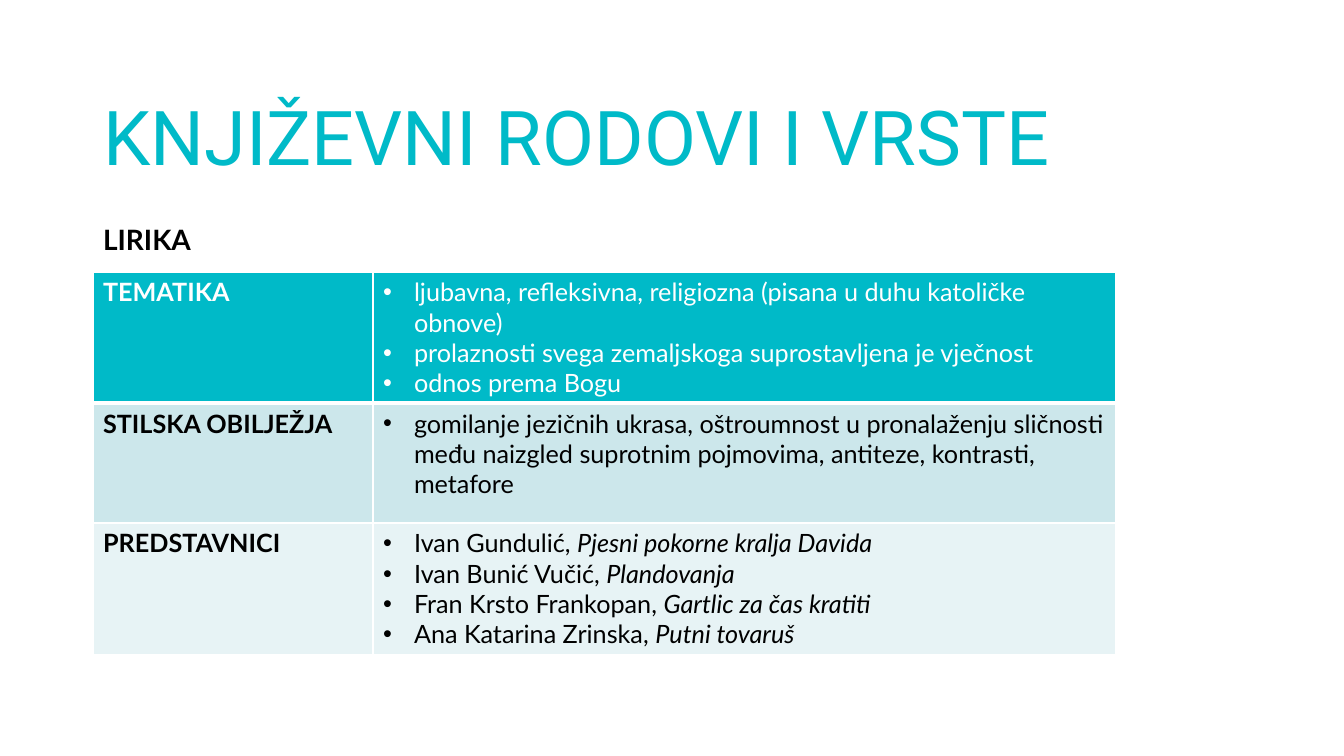
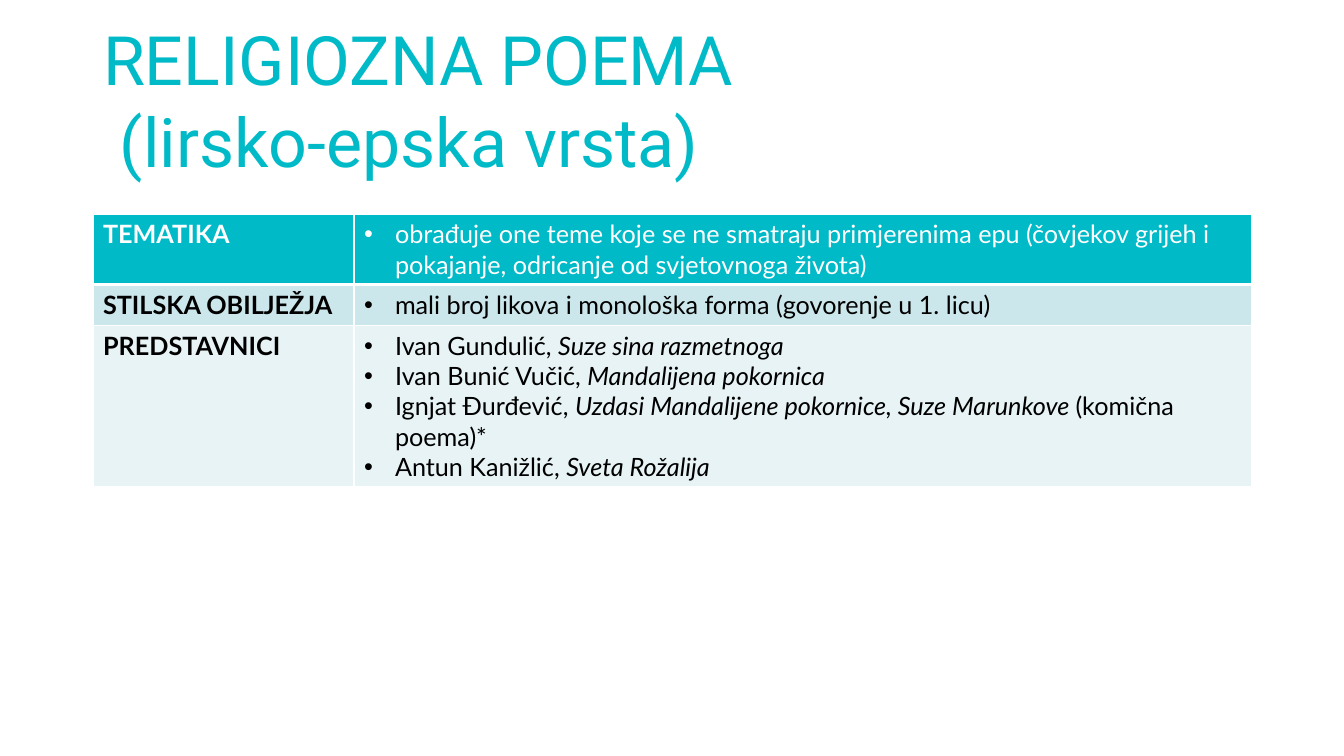
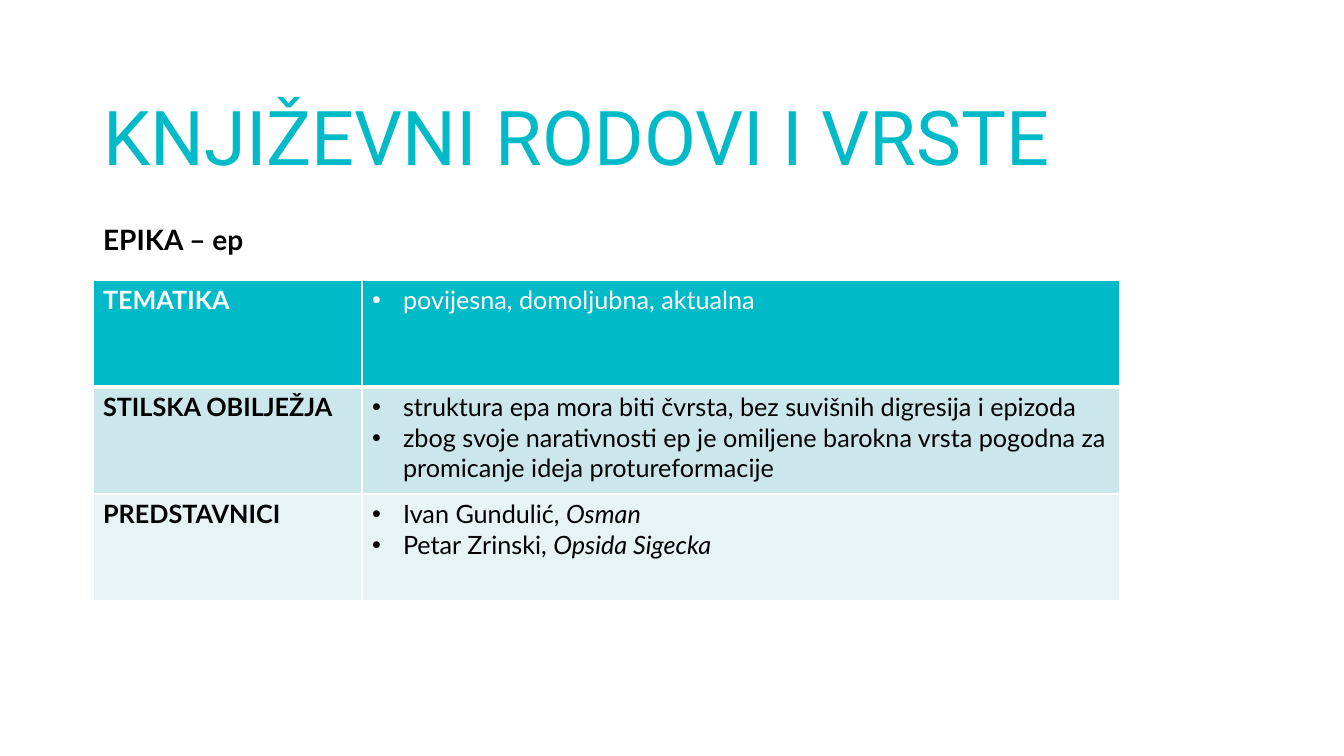
from pptx import Presentation
from pptx.dml.color import RGBColor
from pptx.enum.text import MSO_ANCHOR, MSO_AUTO_SIZE, PP_ALIGN
from pptx.oxml.ns import qn
from pptx.util import Pt
from lxml import etree

BOTTOM, TOP = MSO_ANCHOR.BOTTOM, MSO_ANCHOR.TOP
NO_FIT = MSO_AUTO_SIZE.NONE
LEFT = PP_ALIGN.LEFT

EMU_PER_PX = 12192000 / 1344
COLORS = {"accent": "00BAC8", "band": "CCE7EB", "pale": "E7F3F5",
          "white": "FFFFFF", "black": "000000"}
TITLE_FONT, TEXT_FONT = "Roboto", "Lato"
TITLE_AND_BODY, TITLE_ONLY = 1, 5
MARGIN, CONTENT_WIDTH = 93, 1159
BULLET_INDENT = 31
ROW_LABELS = ("TEMATIKA", "STILSKA OBILJEŽJA", "PREDSTAVNICI")
ROW_STYLES = (("accent", "white"), ("band", "black"), ("pale", "black"))
THIN, THICK = 1, 3


def px(length):
    return round(length * EMU_PER_PX)


def rgb(name):
    return RGBColor.from_string(COLORS[name])


class Deck:
    """Shared style and the slide being built."""

    def __init__(self):
        self.prs = Presentation()
        self.prs.slide_width, self.prs.slide_height = px(1344), px(756)
        self.slide = None

    def style(self, paragraph, font, size, color, bold=False):
        paragraph.alignment = LEFT
        paragraph.font.name = font
        paragraph.font.size = Pt(size)
        paragraph.font.bold = bold
        paragraph.font.color.rgb = rgb(color)

    def place(self, holder, top, height, anchor):
        holder.left, holder.top = px(MARGIN), px(top)
        holder.width, holder.height = px(CONTENT_WIDTH), px(height)
        frame = holder.text_frame
        frame.auto_size, frame.vertical_anchor = NO_FIT, anchor
        return frame

    def bullet(self, paragraph, char=None):
        props = paragraph._p.get_or_add_pPr()
        indent = px(BULLET_INDENT) if char else 0
        props.set("marL", str(indent))
        props.set("indent", str(-indent))
        if char:
            mark = etree.Element(qn("a:buChar"), char=char)
            face = etree.Element(qn("a:buFont"), typeface="Arial")
            marks = [face, mark]
        else:
            marks = [etree.Element(qn("a:buNone"))]
        # Bullet marks stand before the default run properties
        defaults = props.find(qn("a:defRPr"))
        for mark in marks:
            defaults.addprevious(mark)

    def new_slide(self, title, size, layout):
        self.slide = self.prs.slides.add_slide(self.prs.slide_layouts[layout])
        frame = self.place(self.slide.shapes.title, 40, 146, BOTTOM)
        frame.text = title
        self.style(frame.paragraphs[0], TITLE_FONT, size, "accent")

    def genre(self, text):
        frame = self.place(self.slide.placeholders[1], 214, 467, TOP)
        frame.text = text
        heading = frame.paragraphs[0]
        self.style(heading, TEXT_FONT, 20, "black", bold=True)
        heading.line_spacing, heading.space_before = 1.1, Pt(10)
        self.bullet(heading)

    def borders(self, cell, top, bottom):
        props = cell._tc.get_or_add_tcPr()
        widths = {"lnL": THIN, "lnR": THIN, "lnT": top, "lnB": bottom}
        for side, width in widths.items():
            line = etree.SubElement(props, qn(f"a:{side}"), w=str(Pt(width)))
            fill = etree.SubElement(line, qn("a:solidFill"))
            etree.SubElement(fill, qn("a:srgbClr"), val=COLORS["white"])

    def cell_text(self, cell, items, color, bulleted):
        """Each item is a tuple of runs, in turn upright and italic."""
        frame = cell.text_frame
        for number, runs in enumerate(items):
            paragraph = frame.add_paragraph() if number else frame.paragraphs[0]
            self.style(paragraph, TEXT_FONT, 18, color, bold=not bulleted)
            if bulleted:
                self.bullet(paragraph, "•")
            for position, text in enumerate(runs):
                run = paragraph.add_run()
                run.text = text
                if position % 2:
                    run.font.italic = True

    def features(self, top, columns, row_height, contents):
        table = self.slide.shapes.add_table(
            len(contents), len(columns), px(MARGIN), px(top),
            px(sum(columns)), px(row_height * len(contents))).table
        table.horz_banding = False
        for column, width in zip(table.columns, columns):
            column.width = px(width)
        for index, (label, items) in enumerate(zip(ROW_LABELS, contents)):
            fill, color = ROW_STYLES[index]
            for cell in table.rows[index].cells:
                self.borders(cell, THICK if index == 1 else THIN,
                             THICK if index == 0 else THIN)
                cell.fill.solid()
                cell.fill.fore_color.rgb = rgb(fill)
            self.cell_text(table.cell(index, 0), [(label,)], color, False)
            self.cell_text(table.cell(index, 1), items, color, True)


def main():
    deck = Deck()

    # Lyric poetry
    deck.new_slide("KNJIŽEVNI RODOVI I VRSTE", 54, TITLE_AND_BODY)
    deck.genre("LIRIKA")
    deck.features(272, (280, 743), 120, [
        [("ljubavna, refleksivna, religiozna (pisana u duhu katoličke obnove)",),
         ("prolaznosti svega zemaljskoga suprostavljena je vječnost",),
         ("odnos prema Bogu",)],
        [("gomilanje jezičnih ukrasa, oštroumnost u pronalaženju sličnosti "
          "među naizgled suprotnim pojmovima, antiteze, kontrasti, metafore",)],
        [("Ivan Gundulić, ", "Pjesni pokorne kralja Davida"),
         ("Ivan Bunić Vučić, ", "Plandovanja"),
         ("Fran Krsto Frankopan, ", "Gartlic za čas kratiti"),
         ("Ana Katarina Zrinska, ", "Putni tovaruš")],
    ])

    # Religious poem
    deck.new_slide("RELIGIOZNA POEMA\v (lirsko-epska vrsta)", 48.6, TITLE_ONLY)
    deck.features(214, (261, 898), 41, [
        [("obrađuje one teme koje se ne smatraju primjerenima epu (čovjekov "
          "grijeh i pokajanje, odricanje od svjetovnoga života)",)],
        [("mali broj likova i monološka forma (govorenje u 1. licu)",)],
        [("Ivan Gundulić, ", "Suze sina razmetnoga"),
         ("Ivan Bunić Vučić, ", "Mandalijena pokornica"),
         ("Ignjat Đurđević, ", "Uzdasi Mandalijene pokornice, Suze Marunkove ",
          "(komična poema)*"),
         ("Antun Kanižlić, ", "Sveta Rožalija")],
    ])

    # Epic poetry
    deck.new_slide("KNJIŽEVNI RODOVI I VRSTE", 54, TITLE_AND_BODY)
    deck.genre("EPIKA – ep")
    deck.features(280, (269, 758), 107, [
        [("povijesna, domoljubna, aktualna",)],
        [("struktura epa mora biti čvrsta, bez suvišnih digresija i epizoda",),
         ("zbog svoje narativnosti ep je omiljene barokna vrsta pogodna za "
          "promicanje ideja protureformacije",)],
        [("Ivan Gundulić, ", "Osman"),
         ("Petar Zrinski, ", "Opsida Sigecka")],
    ])

    deck.prs.save("out.pptx")


if __name__ == "__main__":
    main()
